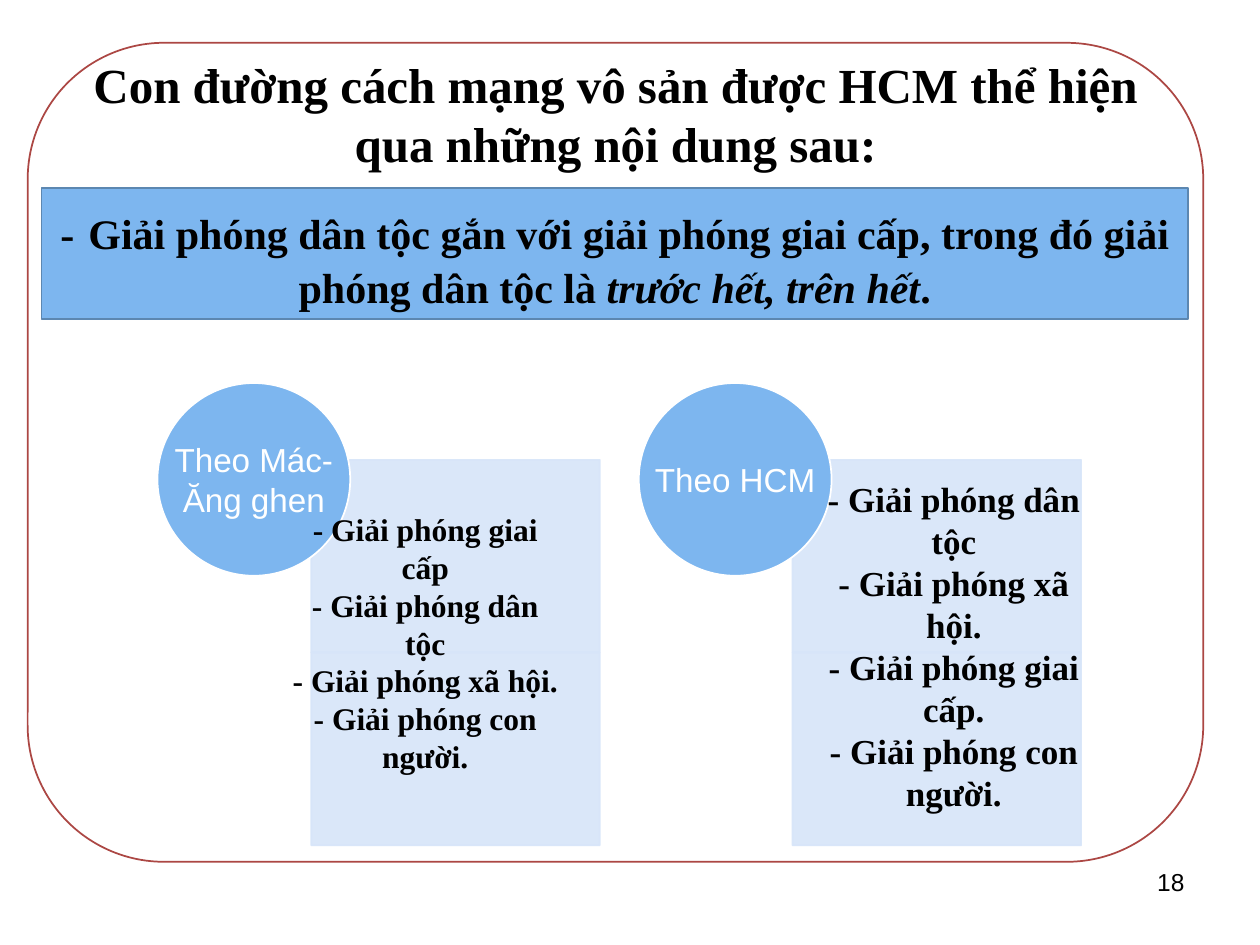
"""Build a slide on how Hồ Chí Minh's path of revolution is expressed."""
from lxml.etree import SubElement
from pptx import Presentation
from pptx.dml.color import RGBColor
from pptx.enum.shapes import MSO_SHAPE
from pptx.enum.text import MSO_ANCHOR, MSO_AUTO_SIZE, PP_ALIGN
from pptx.oxml.ns import qn
from pptx.util import Inches, Pt


def add_block(kind, place, fill, line, opacity=100):
    shape = page.shapes.add_shape(kind, *map(Inches, place))
    shape.shadow.inherit = False
    shape.fill.solid()
    shape.fill.fore_color.rgb = RGBColor.from_string(fill)
    shape.line.color.rgb = RGBColor.from_string(line)
    shape.line.width = Pt(1)
    if opacity < 100:
        for color in shape.element.spPr.iter(qn("a:srgbClr")):
            SubElement(color, qn("a:alpha"), val=str(opacity * 1000))
    return shape


def write(box, lines, size, font="Times New Roman", color="000000",
          align=PP_ALIGN.CENTER, anchor=MSO_ANCHOR.TOP):
    frame = box.text_frame
    frame.word_wrap = True
    frame.auto_size = MSO_AUTO_SIZE.NONE
    frame.vertical_anchor = anchor
    frame.text = "\n".join(lines)
    for para in frame.paragraphs:
        para.alignment = align
        para.font.name = font
        para.font.size = Pt(size)
        para.font.bold = font == "Times New Roman"
        para.font.color.rgb = RGBColor.from_string(color)


deck = Presentation()
deck.slide_width, deck.slide_height = Inches(10), Inches(7.5)
page = deck.slides.add_slide(deck.slide_layouts[5])

title = page.shapes.title
title.left, title.top = Inches(0.56), Inches(0.38)
title.width, title.height = Inches(8.65), Inches(1.51)
write(title, ["Con đường cách mạng vô sản được HCM thể hiện qua những nội dung sau:"], 28)

border = add_block(MSO_SHAPE.FLOWCHART_ALTERNATE_PROCESS, (0.22, 0.34, 9.33, 6.5),
                   "FFFFFF", "AC4744")
title.element.addprevious(border.element)

number = page.shapes.add_textbox(Inches(7.17), Inches(6.83), Inches(2.33), Inches(0.52))
write(number, ["18"], 14, "Arial", align=PP_ALIGN.RIGHT)

banner = add_block(MSO_SHAPE.RECTANGLE, (0.33, 1.49, 9.1, 1.04), "7DB6EF", "5C87B1")
write(banner, [""], 24)
para = banner.text_frame.paragraphs[0]
for text, size, italic in [
    ("-", 24, False),
    (" ", 32, False),
    ("Giải phóng dân tộc gắn với giải phóng giai cấp, trong đó giải phóng dân tộc là", 24, False),
    (" trước hết, trên hết", 24, True),
    (".", 24, False),
]:
    span = para.add_run()
    span.text = text
    span.font.size = Pt(size)
    span.font.italic = italic

views = [
    ("Theo Mác-Ăng ghen", 1.25, (2.2, 4, 2.35, 2.22), 18,
     ["- Giải phóng giai cấp", "- Giải phóng dân tộc",
      "- Giải phóng xã hội.", "- Giải phóng con người."]),
    ("Theo HCM", 5.07, (6.43, 3.74, 2.28, 2.79), 20,
     ["- Giải phóng dân tộc", "- Giải phóng xã hội.",
      "- Giải phóng giai cấp.", "- Giải phóng con người."]),
]
side = 1.53
for name, left, place, size, goals in views:
    for row in range(2):
        add_block(MSO_SHAPE.RECTANGLE, (left + 1.22, 3.65 + row * side, 2.29, side),
                  "D7E5F9", "D7E5F9", 90)
    circle = (left, 3.04, side, side)
    add_block(MSO_SHAPE.OVAL, circle, "7DB6EF", "FFFFFF")
    label = page.shapes.add_textbox(*map(Inches, circle))
    write(label, [name], 19, "Arial", "FFFFFF", anchor=MSO_ANCHOR.MIDDLE)
    frame = label.text_frame
    frame.margin_left = frame.margin_right = frame.margin_top = frame.margin_bottom = 0
    goal_box = page.shapes.add_textbox(*map(Inches, place))
    write(goal_box, goals, size)

deck.save("out.pptx")
